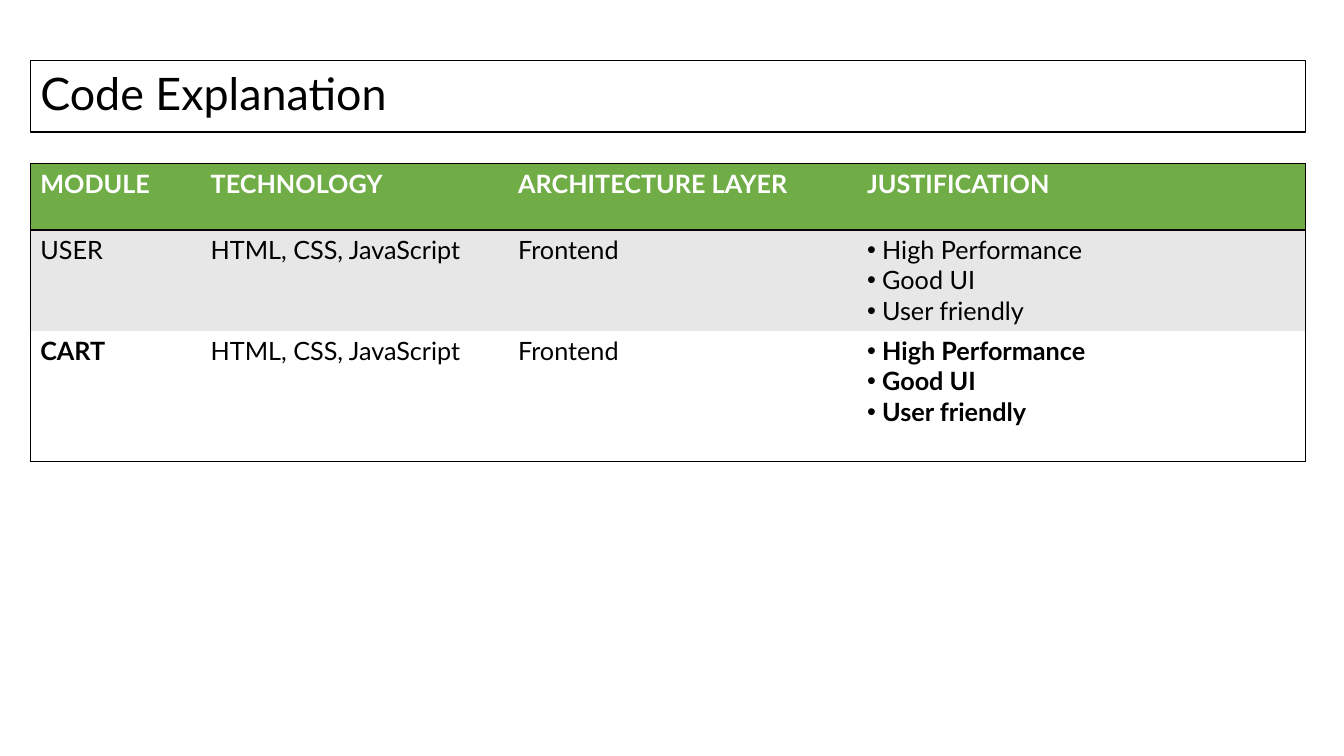
from lxml import etree
from pptx import Presentation
from pptx import util as u
from pptx.dml.color import RGBColor
from pptx.enum import text
from pptx.oxml.ns import qn

HEADINGS = ["MODULE", "TECHNOLOGY", "ARCHITECTURE LAYER", "JUSTIFICATION"]
STACK = "HTML, CSS, JavaScript"
BENEFITS = ["High Performance", "Good UI", "User friendly"]
ROWS = [
    HEADINGS,
    ["USER", STACK, "Frontend", BENEFITS],
    ["CART", STACK, "Frontend", BENEFITS],
]
ROW_STYLES = [
    {"fill": "70AD47", "color": "FFFFFF", "bold_columns": {0, 1, 2, 3}},
    {"fill": "E7E7E7", "color": "000000", "bold_columns": set()},
    {"fill": "FFFFFF", "color": "000000", "bold_columns": {0, 3}},
]
COLUMN_WIDTHS = [1.69, 3.05, 3.46, 4.45]
ROW_HEIGHTS = [0.66, 1.0, 1.3]


def rgb(code):
    return RGBColor.from_string(code)


class Deck:
    font_name = "Lato"
    ink = "000000"
    left, width = 0.3, 12.65

    def __init__(self):
        self.presentation = Presentation()
        self.presentation.slide_width = u.Inches(13.33)
        self.presentation.slide_height = u.Inches(7.5)
        layout = self.presentation.slide_layouts[5]
        self.slide = self.presentation.slides.add_slide(layout)

    def style(self, paragraph, color, **formats):
        for name, value in {"name": self.font_name, **formats}.items():
            setattr(paragraph.font, name, value)
        paragraph.font.color.rgb = rgb(color)

    def title(self, wording, top, height):
        heading = self.slide.shapes.title
        place = {"left": self.left, "top": top, "width": self.width, "height": height}
        for name, value in place.items():
            setattr(heading, name, u.Inches(value))
        heading.line.color.rgb = rgb(self.ink)
        heading.line.width = u.Pt(1)
        frame = heading.text_frame
        frame.text = wording
        for name, value in {
            "word_wrap": True,
            "auto_size": text.MSO_AUTO_SIZE.NONE,
            "vertical_anchor": text.MSO_ANCHOR.MIDDLE,
        }.items():
            setattr(frame, name, value)
        paragraph = frame.paragraphs[0]
        paragraph.alignment = text.PP_ALIGN.LEFT
        paragraph.line_spacing = 0.9
        self.style(paragraph, self.ink, size=u.Pt(32), bold=False)

    def bullet(self, paragraph):
        properties = paragraph._p.get_or_add_pPr()
        indent = u.Inches(0.15)
        properties.set("marL", str(indent))
        properties.set("indent", str(-indent))
        etree.SubElement(properties, qn("a:buFont"), typeface="Arial")
        etree.SubElement(properties, qn("a:buChar"), char="•")

    def borders(self, cell, widths):
        properties = cell._tc.get_or_add_tcPr()
        for position, side in enumerate("LRTB"):
            line = etree.Element(qn(f"a:ln{side}"))
            width = widths.get(side)
            if width:
                line.set("w", str(u.Pt(width)))
                fill = etree.SubElement(line, qn("a:solidFill"))
                etree.SubElement(fill, qn("a:srgbClr"), val=self.ink)
            else:
                etree.SubElement(line, qn("a:noFill"))
            properties.insert(position, line)

    def cell(self, cell, content, style, bold):
        cell.fill.solid()
        cell.fill.fore_color.rgb = rgb(style["fill"])
        bulleted = isinstance(content, list)
        cell.text = "\n".join(content) if bulleted else content
        for paragraph in cell.text_frame.paragraphs:
            if bulleted:
                self.bullet(paragraph)
            self.style(paragraph, style["color"], size=u.Pt(18), bold=bold)

    def table(self, rows, styles, top):
        frame = self.slide.shapes.add_table(
            len(rows), len(COLUMN_WIDTHS), u.Inches(self.left), u.Inches(top),
            u.Inches(self.width), u.Inches(sum(ROW_HEIGHTS)))
        table = frame.table
        table.horz_banding = False
        for column, width in zip(table.columns, COLUMN_WIDTHS):
            column.width = u.Inches(width)
        for row, height in zip(table.rows, ROW_HEIGHTS):
            row.height = u.Inches(height)
        last_row, last_column = len(rows) - 1, len(COLUMN_WIDTHS) - 1
        for r, (contents, style) in enumerate(zip(rows, styles)):
            for c, content in enumerate(contents):
                cell = table.cell(r, c)
                self.cell(cell, content, style, c in style["bold_columns"])
                self.borders(cell, {
                    "L": 1 if c == 0 else 0,
                    "R": 1 if c == last_column else 0,
                    "T": {0: 1, 1: 2}.get(r, 0),
                    "B": {0: 2, last_row: 1}.get(r, 0),
                })


def main():
    deck = Deck()
    deck.table(ROWS, ROW_STYLES, top=1.62)
    deck.title("Code Explanation", top=0.6, height=0.71)
    deck.presentation.save("out.pptx")


if __name__ == "__main__":
    main()
